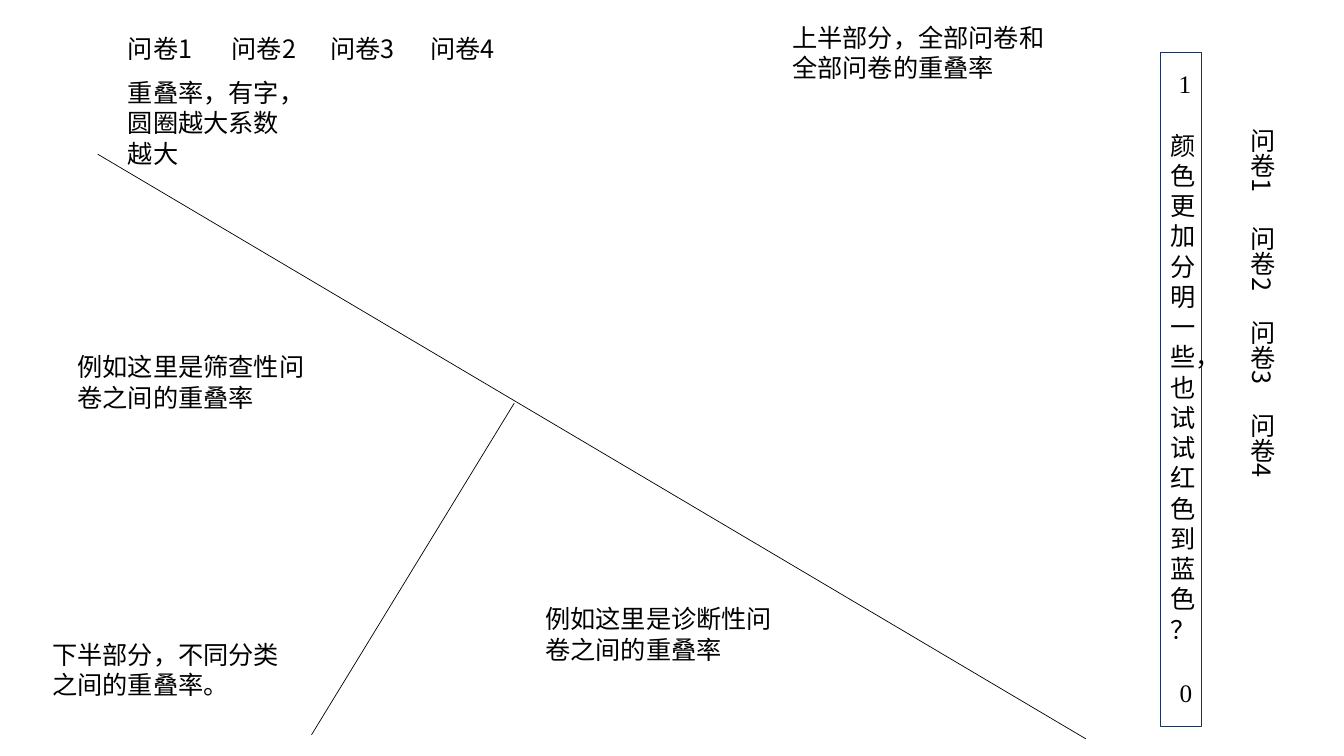
import pptx
import pptx.dml.color
import pptx.enum.shapes
import pptx.enum.text
import pptx.oxml.ns
import pptx.util
import lxml.etree

PX = 9144  # 100 px to the inch
CHINESE = "Noto Sans CJK SC"
DIGITS = "Times New Roman"
BLACK, WHITE, NAVY = "000000", "FFFFFF", "1E3256"
QUESTIONNAIRES = "\t".join(f"问卷{number}" for number in range(1, 5))


def px(length):
    return pptx.util.Emu(length * PX)


def color(value):
    return pptx.dml.color.RGBColor.from_string(value)


def add_child(parent, tag, **attributes):
    return lxml.etree.SubElement(parent, pptx.oxml.ns.qn(tag), attributes)


def add_text(slide, box, text, font=CHINESE, tabs=(), vertical=False):
    """Place 18 pt text in box; tabs are stops measured from the text edge."""
    shape = slide.shapes.add_textbox(*map(px, box))
    frame = shape.text_frame
    frame.word_wrap = True
    frame.auto_size = pptx.enum.text.MSO_AUTO_SIZE.NONE
    if vertical:
        frame._txBody.bodyPr.set("vert", "eaVert")
    frame.text = text
    for paragraph in frame.paragraphs:
        paragraph.line_spacing = pptx.util.Pt(21.6)
        if tabs:
            tab_list = add_child(paragraph._p.get_or_add_pPr(), "a:tabLst")
            for stop in tabs:
                add_child(tab_list, "a:tab", pos=str(px(stop)), algn="l")
        for run in paragraph.runs:
            run.font.size = pptx.util.Pt(18)
            run.font.name = font
            run.font.color.rgb = color(BLACK)
            add_child(run._r.get_or_add_rPr(), "a:ea", typeface=font)


def add_line(slide, start, end):
    connector = slide.shapes.add_connector(
        pptx.enum.shapes.MSO_CONNECTOR.STRAIGHT, *map(px, start + end))
    connector.line.color.rgb = color(BLACK)
    connector.line.width = pptx.util.Pt(0.5)
    add_child(connector._element.spPr, "a:effectLst")


def add_dividers(slide, left, top):
    """Long diagonal, with a branch splitting the lower half."""
    add_line(slide, (left, top), (left + 980, top + 580))
    add_line(slide, (left + 413, top + 247), (left + 212, top + 576))


def add_color_scale(slide, left, top, width, height):
    """Scale bar from 1 down to 0 with its note."""
    bar = slide.shapes.add_shape(
        pptx.enum.shapes.MSO_SHAPE.RECTANGLE,
        *map(px, (left, top, width, height)))
    bar.shadow.inherit = False
    bar.fill.solid()
    bar.fill.fore_color.rgb = color(WHITE)
    bar.line.color.rgb = color(NAVY)
    bar.line.width = pptx.util.Pt(1)
    add_text(slide, (left + 9, top + 615, width, 40), "0", DIGITS)
    add_text(slide, (left + 8, top + 11, width, 40), "1", DIGITS)
    add_text(slide, (left, top + 72, 62, 525),
             "颜色更加分明一些，也试试红色到蓝色\n？")


def add_axis_labels(slide):
    """Questionnaire names along the top and down the right side."""
    add_text(slide, (117, 28, 971, 40), QUESTIONNAIRES, tabs=(103, 201, 300))
    add_text(slide, (1222, 117, 50, 657), QUESTIONNAIRES,
             tabs=(98, 191, 283), vertical=True)


def add_notes(slide):
    """Explanations of the regions of the matrix."""
    notes = [
        ((117, 72, 171, 101), "重叠率，有字，圆圈越大系数越大"),
        ((776, 17, 281, 71), "上半部分，全部问卷和全部问卷的重叠率"),
        ((42, 629, 247, 71), "下半部分，不同分类之间的重叠率。"),
        ((67, 344, 247, 71), "例如这里是筛查性问卷之间的重叠率"),
        ((531, 594, 247, 71), "例如这里是诊断性问卷之间的重叠率"),
    ]
    for box, text in notes:
        add_text(slide, box, text)


def main():
    presentation = pptx.Presentation()
    presentation.slide_width, presentation.slide_height = px(1333), px(750)
    slide = presentation.slides.add_slide(presentation.slide_layouts[6])
    add_dividers(slide, 97, 153)
    add_color_scale(slide, 1151, 52, 41, 669)
    add_axis_labels(slide)
    add_notes(slide)
    presentation.save("out.pptx")


if __name__ == "__main__":
    main()
